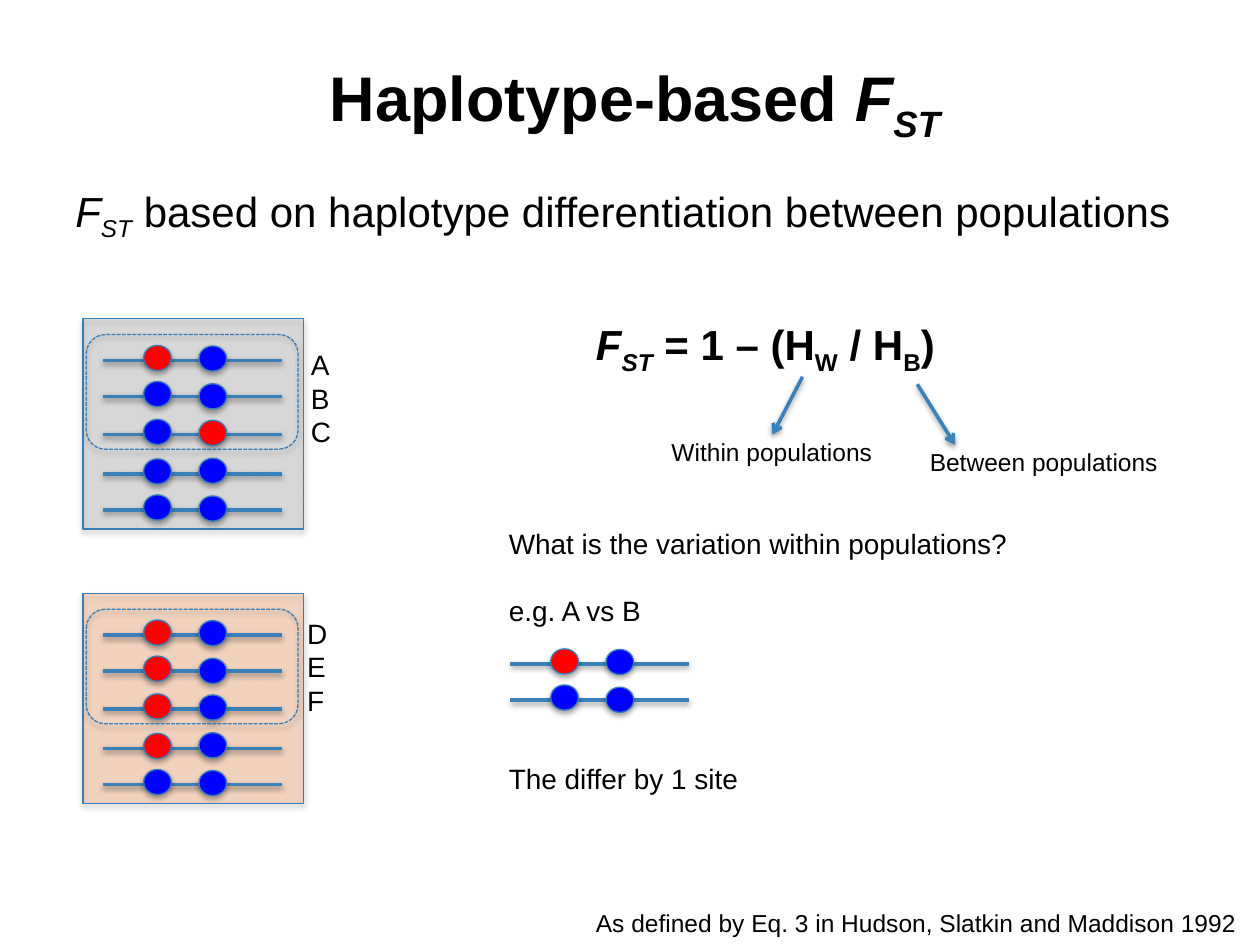
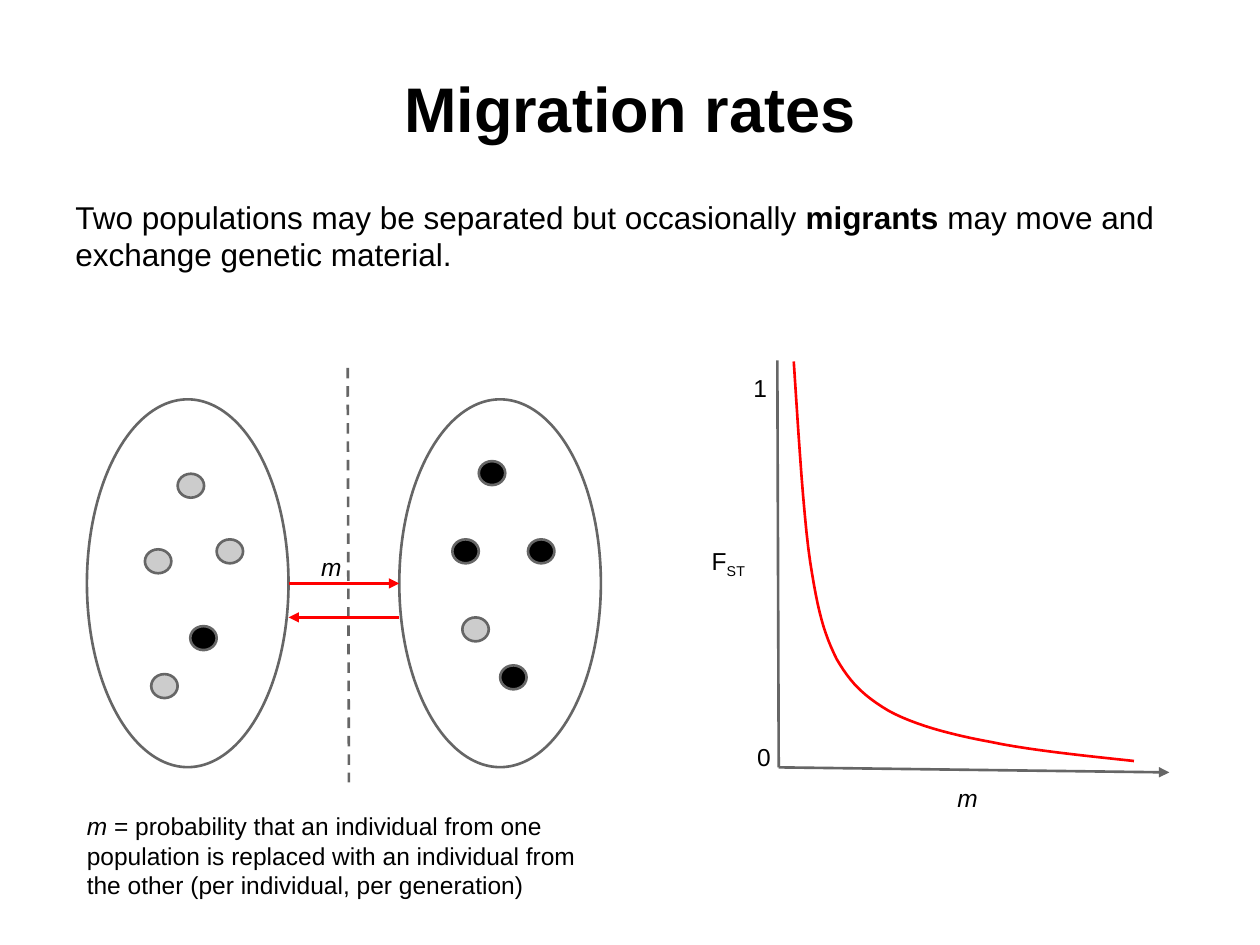
"""Build two slides on haplotype-based F_ST and migration rates."""
from lxml import etree
from pptx import Presentation
from pptx.dml.color import RGBColor
from pptx.enum.dml import MSO_LINE
from pptx.enum.shapes import MSO_CONNECTOR, MSO_SHAPE
from pptx.enum.text import MSO_ANCHOR, MSO_AUTO_SIZE, PP_ALIGN
from pptx.oxml.ns import qn
from pptx.util import Pt

STRAIGHT = MSO_CONNECTOR.STRAIGHT
RECT, ROUNDED, OVAL = MSO_SHAPE.RECTANGLE, MSO_SHAPE.ROUNDED_RECTANGLE, MSO_SHAPE.OVAL
TOP, MIDDLE, BOTTOM = MSO_ANCHOR.TOP, MSO_ANCHOR.MIDDLE, MSO_ANCHOR.BOTTOM
LEFT, CENTER = PP_ALIGN.LEFT, PP_ALIGN.CENTER
DASH, SHORT_DASH = MSO_LINE.DASH, MSO_LINE.SQUARE_DOT
FIT_TEXT = MSO_AUTO_SIZE.SHAPE_TO_FIT_TEXT

FONT = "Arial"
COLORS = {
    "black": "000000", "outline": "367EB9", "strand": "3A81BA", "red": "FF0000",
    "blue": "0000FF", "gray box": "808080", "orange box": "FF6600",
    "axis": "666666", "light": "CCCCCC",
}
SHAPE_SHADOW = (1.8, 35)
LINE_SHADOW = (1.6, 38)


def add_text(slide, box, paragraphs, size, align=LEFT, anchor=TOP, inset=7.2, wrap=True, gaps=()):
    """Add runs of (text, style), where style holds b, i and s for subscript."""
    text_box = slide.shapes.add_textbox(*[Pt(v) for v in box])
    frame = text_box.text_frame
    frame.word_wrap = wrap
    if not wrap:
        frame.auto_size = FIT_TEXT
    frame.vertical_anchor = anchor
    frame.margin_left = frame.margin_right = Pt(7.2)
    frame.margin_top = frame.margin_bottom = Pt(inset)
    for index, runs in enumerate(paragraphs):
        paragraph = frame.add_paragraph() if index else frame.paragraphs[0]
        paragraph.alignment = align
        if index and gaps:
            paragraph.space_before = Pt(gaps[index - 1])
        for text, style in runs:
            run = paragraph.add_run()
            run.text = text
            run.font.name = FONT
            run.font.size = Pt(size)
            run.font.bold = "b" in style
            run.font.italic = "i" in style
            run.font.color.rgb = RGBColor.from_string(COLORS["black"])
            if "s" in style:
                run.font._element.set("baseline", "-25000")


def paint(item, line, width, fill=None, alpha=None, dash=None, head=None, shadow=None):
    """Set the outline, fill, arrowhead and shadow of a shape or connector."""
    properties = item._element.spPr
    if fill:
        item.fill.solid()
        item.fill.fore_color.rgb = RGBColor.from_string(COLORS[fill])
        if alpha:
            color = properties.find(qn("a:solidFill"))[0]
            etree.SubElement(color, qn("a:alpha"), val=str(alpha * 1000))
    elif hasattr(item, "fill"):
        item.fill.background()
    item.line.color.rgb = RGBColor.from_string(COLORS[line])
    item.line.width = Pt(width)
    if dash:
        item.line.dash_style = dash
    if head:
        etree.SubElement(properties.find(qn("a:ln")), qn("a:tailEnd"), type=head)
    effects = etree.SubElement(properties, qn("a:effectLst"))
    if shadow:
        distance, opacity = shadow
        outer = etree.SubElement(effects, qn("a:outerShdw"), blurRad="40000", dist=str(Pt(distance)),
                                 dir="5400000", rotWithShape="0")
        color = etree.SubElement(outer, qn("a:srgbClr"), val=COLORS["black"])
        etree.SubElement(color, qn("a:alpha"), val=str(opacity * 1000))


prs = Presentation()
prs.slide_width, prs.slide_height = Pt(720), Pt(540)
blank = prs.slide_layouts[6]
haplotypes, migration = [prs.slides.add_slide(blank) for _ in range(2)]

titles = [
    (haplotypes, 38.9, [("Haplotype-based ", "b"), ("F", "bi"), ("ST", "bis")]),
    (migration, 36, [("Migration rates", "b")]),
]
for slide, left, runs in titles:
    add_text(slide, (left, 0, 648, 90), [runs], 36, CENTER, BOTTOM)

add_text(haplotypes, (36, 98.6, 648, 64.8), [[
    ("F", "i"), ("ST", "is"), (" based on haplotype differentiation between populations", "")]], 24)

STRAND_OFFSETS = [23.8, 44.4, 66, 88.6, 109.2]
SECOND_SITE_TOPS = [15.5, 37.1, 58, 79.6, 101.2]
strand_sets = [
    (47.5, 182.2, "gray box", ["red", "blue", "blue", "blue", "blue"], ["blue", "blue", "red", "blue", "blue"]),
    (47.5, 339.1, "orange box", ["red", "red", "red", "red", "blue"], ["blue"] * 5),
    (280.1, 355.6, None, ["red", "blue"], ["blue", "blue"]),
]
for left, top, box_color, first_sites, second_sites in strand_sets:
    if box_color:
        shapes = haplotypes.shapes
        population = shapes.add_shape(RECT, Pt(left), Pt(top), Pt(126), Pt(120.2))
        paint(population, "outline", 0.75, box_color, alpha=20, shadow=SHAPE_SHADOW)
    else:
        shapes = haplotypes.shapes.add_group_shape().shapes
    for offset, second_top, first, second in zip(STRAND_OFFSETS, SECOND_SITE_TOPS, first_sites, second_sites):
        y = top + offset
        strand = shapes.add_connector(STRAIGHT, Pt(left + 11.5), Pt(y), Pt(left + 113.8), Pt(y))
        paint(strand, "strand", 2, shadow=LINE_SHADOW)
        for site_left, site_top, allele in [(34.6, offset - 8.6, first), (66.2, second_top, second)]:
            site = shapes.add_shape(OVAL, Pt(left + site_left), Pt(top + site_top), Pt(15.8), Pt(14.4))
            paint(site, "outline", 0.75, allele, shadow=SHAPE_SHADOW)
    if box_color:
        sample = shapes.add_shape(ROUNDED, Pt(left + 1.8), Pt(top + 9), Pt(121), Pt(65.5))
        paint(sample, "outline", 0.75, dash=SHORT_DASH, shadow=SHAPE_SHADOW)

add_text(haplotypes, (306.7, 178.6, 261.4, 36), [[
    ("F", "bi"), ("ST", "bis"), (" = 1 – (H", "b"), ("W", "bs"), (" / H", "b"), ("B", "bs"), (")", "b"),
]], 24, CENTER, inset=3.6)

labels = [
    ((170.6, 195.1, 25.9, 65.5), "ABC", 16, ()),
    ((168.5, 348.5, 25.9, 65.5), "DEF", 16, ()),
    ((283.7, 297.4, 303.1, 162.7),
     ["What is the variation within populations?", "e.g. A vs B", "The differ by 1 site"], 16, (19.2, 76.6)),
    ((376.6, 246.2, 130.3, 24.5), ["Within populations"], 14, ()),
    ((524.2, 252, 145.4, 24.5), ["Between populations"], 14, ()),
    ((333.4, 515.5, 383, 24.5), ["As defined by Eq. 3 in Hudson, Slatkin and Maddison 1992"], 14, ()),
]
for box, lines, size, gaps in labels:
    add_text(haplotypes, box, [[(line, "")] for line in lines], size, inset=3.6, wrap=False, gaps=gaps)

for ends in [(458.6, 215.3, 441.4, 248.4), (524.2, 219.6, 545.8, 254.2)]:
    pointer = haplotypes.shapes.add_connector(STRAIGHT, *[Pt(v) for v in ends])
    paint(pointer, "strand", 2, head="arrow", shadow=LINE_SHADOW)

add_text(migration, (36, 105.8, 648, 391), [[
    ("Two populations may be separated but occasionally ", ""), ("migrants", "b"),
    (" may move and exchange genetic material.", "")]], 18)

for left in (49.7, 228.2):
    population = migration.shapes.add_shape(OVAL, Pt(left), Pt(228.2), Pt(115.2), Pt(210.2))
    paint(population, "axis", 1.5)

individuals = {
    "light": [(101.5, 270.7), (123.8, 308.2), (82.8, 313.9), (86.4, 385.2), (264.2, 352.8)],
    "black": [(273.6, 263.5), (258.5, 308.2), (301.7, 308.2), (285.8, 380.2), (108.7, 357.8)],
}
for allele, places in individuals.items():
    for left, top in places:
        individual = migration.shapes.add_shape(OVAL, Pt(left), Pt(top), Pt(15.1), Pt(13.7))
        paint(individual, "axis", 1.5, allele)

migration_lines = [
    ((198.7, 210.2, 199.4, 447.1), "axis", DASH, None),
    ((164.9, 333.4, 228.2, 333.4), "red", None, "triangle"),
    ((228.2, 352.8, 164.9, 352.8), "red", None, "triangle"),
    ((444.2, 205.9, 445, 438.5), "axis", None, None),
    ((445, 438.5, 668.2, 441.4), "axis", None, "triangle"),
]
for ends, color, dash, head in migration_lines:
    connector = migration.shapes.add_connector(STRAIGHT, *[Pt(v) for v in ends])
    paint(connector, color, 1.5, dash=dash, head=head)

migration_labels = [
    ((42.5, 456.5, 306, 75.6), [("m", "i"), (
        " = probability that an individual from one population is replaced with an individual"
        " from the other (per individual, per generation)", "")], TOP),
    ((176.4, 308.2, 52.6, 23), [("m", "i")], TOP),
    ((399.6, 304.6, 39.6, 32.4), [("F", ""), ("ST", "s")], TOP),
    ((425.5, 416.9, 27.4, 27.4), [("0", "")], TOP),
    ((423.4, 205.9, 27.4, 27.4), [("1", "")], TOP),
    ((540, 444.2, 27.4, 23), [("m", "i")], MIDDLE),
]
for box, runs, anchor in migration_labels:
    add_text(migration, box, [runs], 14, anchor=anchor)

curve_start = (453.6, 206.6)
curve_segments = [
    [(455, 225.4), (458.6, 292.3), (463, 321.1)],
    [(467.3, 349.2), (470.9, 362.2), (478.1, 376.6)],
    [(486, 390.2), (493.2, 397.4), (507.6, 406.1)],
    [(522, 414), (542.9, 419.8), (566.6, 424.1)],
    [(589.7, 429.1), (634.3, 433.4), (648, 434.9)],
]
STEPS = 12
curve_points = []
start = curve_start
for control_1, control_2, end in curve_segments:
    for step in range(1, STEPS + 1):
        t = step / STEPS
        weights = ((1 - t) ** 3, 3 * t * (1 - t) ** 2, 3 * t ** 2 * (1 - t), t ** 3)
        knots = (start, control_1, control_2, end)
        curve_points.append([Pt(sum(w * knot[axis] for w, knot in zip(weights, knots))) for axis in (0, 1)])
    start = end
builder = migration.shapes.build_freeform(*[Pt(v) for v in curve_start])
builder.add_line_segments(curve_points, close=False)
fst_curve = builder.convert_to_shape()
paint(fst_curve, "red", 1.5)

prs.save("out.pptx")
